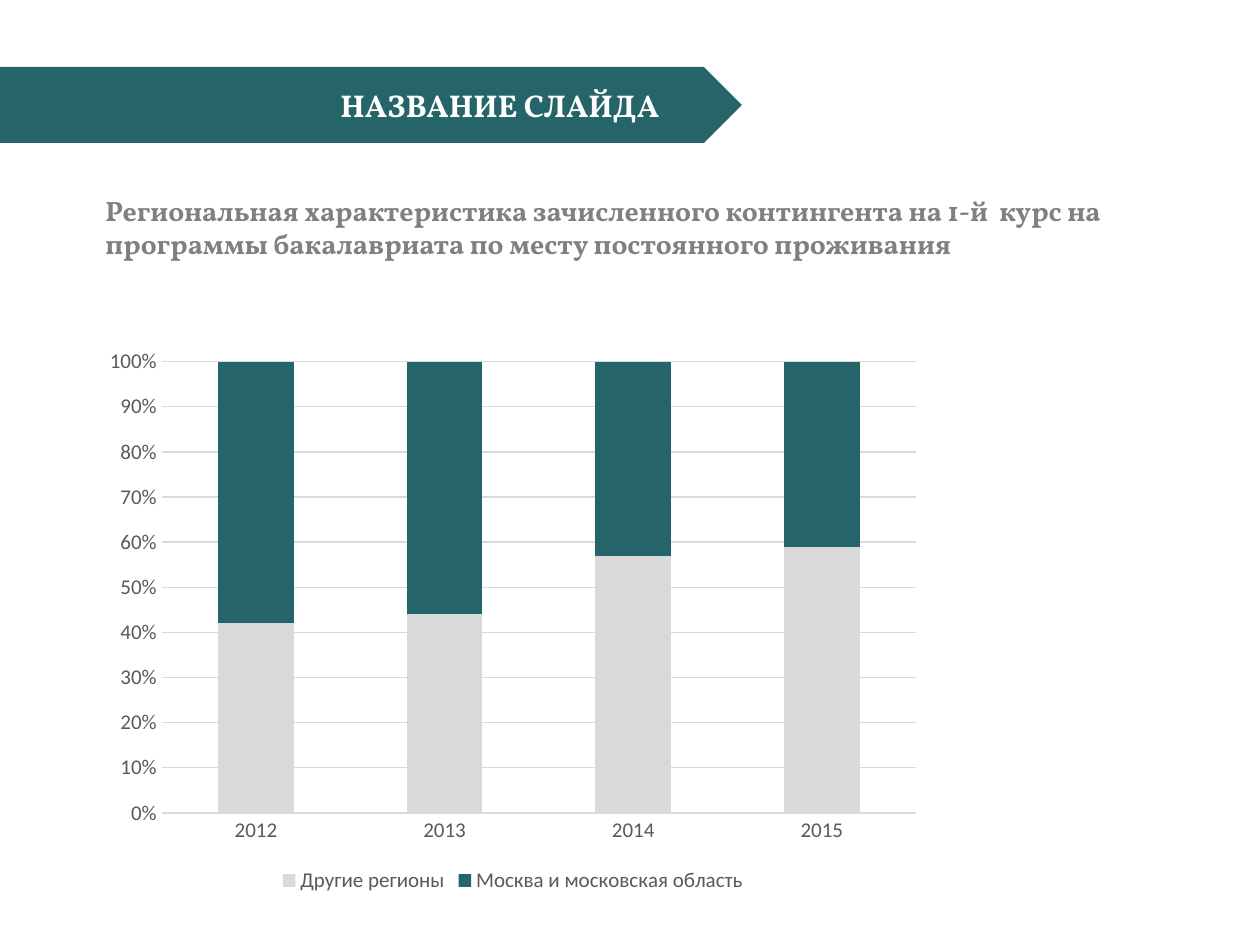
import lxml.etree
import pptx
import pptx.util
import pptx.chart.data
import pptx.dml.color
import pptx.enum.chart
import pptx.enum.shapes
import pptx.enum.text
import pptx.oxml.ns

EMU_PER_PX = 914400 / 126
TEAL, LIGHT, GREY, DARK, WHITE = "256569", "D9D9D9", "808080", "595959", "FFFFFF"

YEARS = ["2012", "2013", "2014", "2015"]
REGIONS = [
    ("Другие регионы", [42, 44, 57, 59], LIGHT),
    ("Москва и московская область", [58, 56, 43, 41], TEAL),
    ("Series 3", [None] * len(YEARS), "A5A5A5"),
]


def px(n):
    return pptx.util.Emu(round(n * EMU_PER_PX))


def box(*lengths):
    return [px(n) for n in lengths]


def rgb(value):
    return pptx.dml.color.RGBColor.from_string(value)


def set_attrs(obj, values):
    for name, value in values.items():
        setattr(obj, name, value)


def set_font(font, name, size, color, bold=False):
    set_attrs(font, {"name": name, "size": pptx.util.Pt(size), "bold": bold})
    font.color.rgb = rgb(color)


def set_line(line, color, width):
    line.color.rgb = rgb(color)
    line.width = pptx.util.Pt(width)


def add_banner(slide, bounds, color):
    sp = slide.shapes.add_shape(pptx.enum.shapes.MSO_SHAPE.PENTAGON, *box(*bounds))
    sp.shadow.inherit = False
    sp.fill.solid()
    sp.fill.fore_color.rgb = rgb(color)
    sp.line.fill.background()


def add_text(slide, bounds, text, size, color):
    tf = slide.shapes.add_textbox(*box(*bounds)).text_frame
    tf.word_wrap = True
    p = tf.paragraphs[0]
    p.alignment = pptx.enum.text.PP_ALIGN.LEFT
    r = p.add_run()
    r.text = text
    set_font(r.font, "Vollkorn", size, color, bold=True)


def style_axes(chart):
    none = pptx.enum.chart.XL_TICK_MARK.NONE
    for axis in (chart.category_axis, chart.value_axis):
        set_attrs(axis, {"major_tick_mark": none, "minor_tick_mark": none})
        set_font(axis.tick_labels.font, "Calibri", 12, DARK)
    set_line(chart.category_axis.format.line, LIGHT, 1)

    axis = chart.value_axis
    set_attrs(axis, {"minimum_scale": 0, "maximum_scale": 1, "major_unit": 0.1})
    set_attrs(axis.tick_labels, {"number_format": "0%", "number_format_is_linked": False})
    axis.format.line.fill.background()
    set_line(axis.major_gridlines.format.line, LIGHT, 0.75)


def drop_legend_entry(legend, index):
    qn = pptx.oxml.ns.qn
    entry = lxml.etree.Element(qn("c:legendEntry"))
    lxml.etree.SubElement(entry, qn("c:idx")).set("val", str(index))
    lxml.etree.SubElement(entry, qn("c:delete")).set("val", "1")
    legend._element.find(qn("c:legendPos")).addnext(entry)


def add_share_chart(slide, bounds, categories, series):
    data = pptx.chart.data.CategoryChartData()
    data.categories = categories
    for name, values, _ in series:
        data.add_series(name, values)
    kind = pptx.enum.chart.XL_CHART_TYPE.COLUMN_STACKED_100
    chart = slide.shapes.add_chart(kind, *box(*bounds), data).chart
    set_attrs(chart, {"has_title": False, "has_legend": True})
    set_font(chart.font, "Calibri", 10, "000000")

    # Columns
    plot = chart.plots[0]
    set_attrs(plot, {"gap_width": 150, "overlap": 100, "vary_by_categories": False})
    for column, (_, _, color) in zip(plot.series, series):
        column.format.fill.solid()
        column.format.fill.fore_color.rgb = rgb(color)

    style_axes(chart)

    # Legend, without the series that have no values
    bottom = pptx.enum.chart.XL_LEGEND_POSITION.BOTTOM
    set_attrs(chart.legend, {"position": bottom, "include_in_layout": False})
    set_font(chart.legend.font, "Calibri", 12, DARK)
    for index, (_, values, _) in enumerate(series):
        if not any(values):
            drop_legend_entry(chart.legend, index)


def main():
    prs = pptx.Presentation()
    set_attrs(prs, {"slide_width": px(1260), "slide_height": px(945)})
    slide = prs.slides.add_slide(prs.slide_layouts[6])

    # Regional shares by year
    add_share_chart(slide, (93, 338, 840, 560), YEARS, REGIONS)

    # Title banner
    add_banner(slide, (0, 67, 742, 76), TEAL)
    add_text(slide, (328, 80, 370, 50), "НАЗВАНИЕ СЛАЙДА", 18, WHITE)

    # Chart heading
    add_text(slide, (93, 187, 1082, 81),
             "Региональная характеристика зачисленного контингента на 1-й  курс на "
             "программы бакалавриата по месту постоянного проживания", 16, GREY)

    prs.save("out.pptx")


if __name__ == "__main__":
    main()
